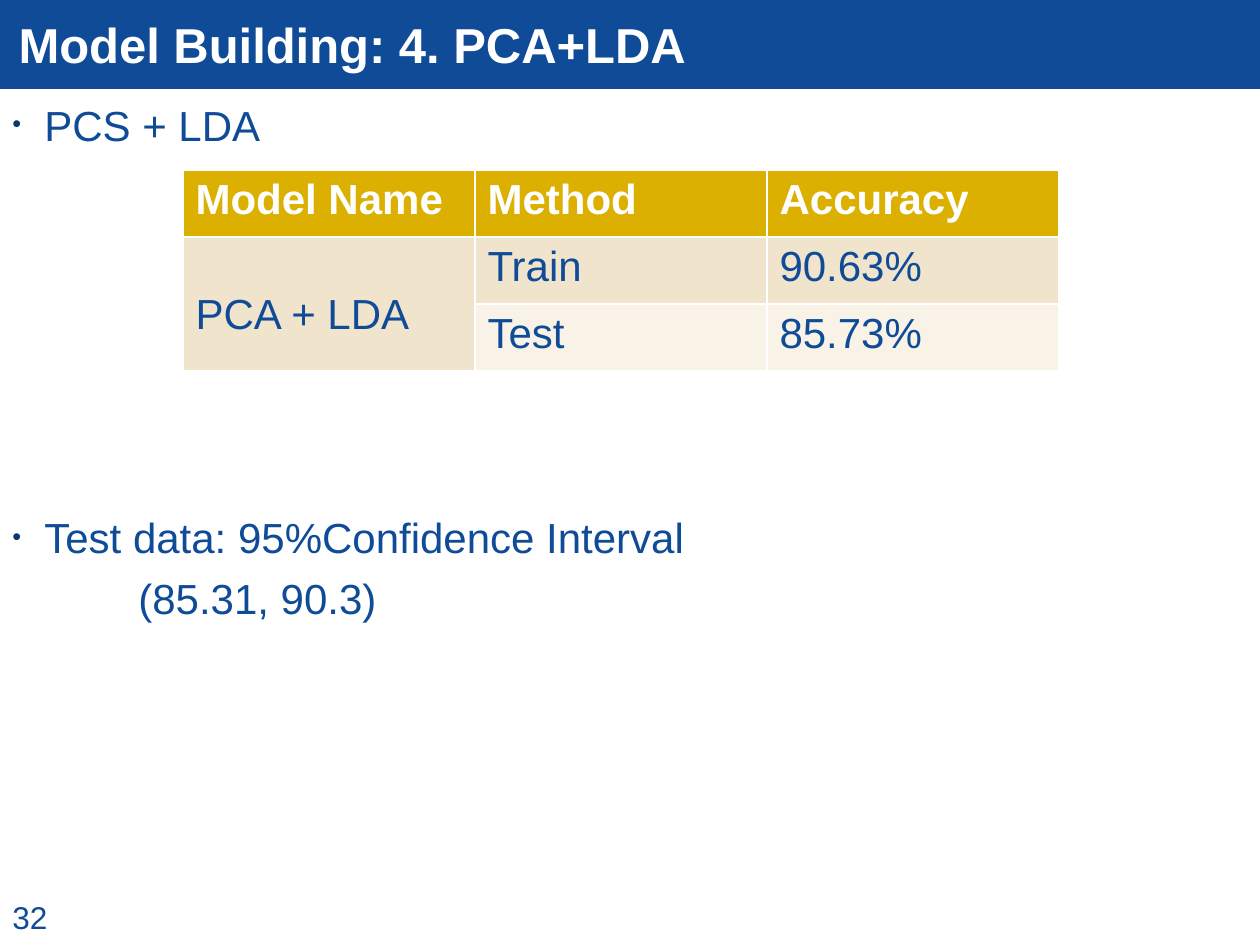
"""Build the PCA+LDA model accuracy slide."""
from dataclasses import dataclass

import pptx
import pptx.dml.color
import pptx.enum.shapes
import pptx.enum.text
import pptx.oxml
import pptx.oxml.ns
import pptx.util

TITLE = "Model Building: 4. PCA+LDA"
PAGE_NUMBER = "32"
BODY = [
    {"text": "PCS + LDA", "bullet": True, "before": 0},
    {"text": "Test data: 95%Confidence Interval", "bullet": True, "before": 207},
    {"text": "(85.31, 90.3)", "bullet": False, "before": 6},
]
TABLE = [
    ("Model Name", "Method", "Accuracy"),
    ("PCA + LDA", "Train", "90.63%"),
    ("", "Test", "85.73%"),
]

SLIDE_WIDTH, SLIDE_HEIGHT = 1260, 945
BAR_HEIGHT = 88
TABLE_LEFT, TABLE_TOP = 183, 170
COLUMN_WIDTH, ROW_HEIGHT = 292, 67
MERGED_TOP_MARGIN = 55
BULLET_INDENT, DETAIL_INDENT = 32, 126


@dataclass(frozen=True)
class Theme:
    font: str = "Arial"
    blue: str = "0F4B97"
    bullet: str = "0B3871"
    white: str = "FFFFFF"
    row_fills: tuple = ("DBB000", "F1E4CC", "F8F2E7")
    title_size: int = 28
    body_size: int = 24
    number_size: int = 18


THEME = Theme()


def px(length):
    return pptx.util.Emu(round(length * 914400 / 126))


def rgb(value):
    return pptx.dml.color.RGBColor.from_string(value)


def format_runs(paragraph, size, color, bold=False):
    for run in paragraph.runs:
        run.font.name = THEME.font
        run.font.size = pptx.util.Pt(size)
        run.font.bold = bold
        run.font.color.rgb = rgb(color)


def set_indent(paragraph, left, first_line=0):
    properties = paragraph._p.get_or_add_pPr()
    properties.set("marL", str(px(left)))
    properties.set("indent", str(px(first_line)))
    return properties


def add_bullet(paragraph):
    properties = set_indent(paragraph, BULLET_INDENT, -BULLET_INDENT)
    namespace = pptx.oxml.ns.nsdecls("a")
    for markup in (
        f'<a:buClr {namespace}><a:srgbClr val="{THEME.bullet}"/></a:buClr>',
        f'<a:buSzPct {namespace} val="60000"/>',
        f'<a:buFont {namespace} typeface="{THEME.font}"/>',
        f'<a:buChar {namespace} char="•"/>',
    ):
        properties.append(pptx.oxml.parse_xml(markup))


def add_title(slide):
    bar = slide.shapes.add_shape(
        pptx.enum.shapes.MSO_SHAPE.RECTANGLE, 0, 0, px(SLIDE_WIDTH), px(BAR_HEIGHT))
    bar.shadow.inherit = False
    bar.fill.solid()
    bar.fill.fore_color.rgb = rgb(THEME.blue)
    bar.line.color.rgb = rgb(THEME.blue)
    bar.line.width = pptx.util.Pt(0.75)
    title = slide.shapes.title
    title._element.addprevious(bar._element)
    title.left, title.top, title.width, title.height = px(6), 0, px(1222), px(BAR_HEIGHT)
    frame = title.text_frame
    frame.text = TITLE
    frame.auto_size = pptx.enum.text.MSO_AUTO_SIZE.NONE
    frame.vertical_anchor = pptx.enum.text.MSO_ANCHOR.MIDDLE
    paragraph = frame.paragraphs[0]
    paragraph.alignment = pptx.enum.text.PP_ALIGN.LEFT
    format_runs(paragraph, THEME.title_size, THEME.white, True)


def add_text(slide, left, top, width, height, text):
    frame = slide.shapes.add_textbox(px(left), px(top), px(width), px(height)).text_frame
    frame.word_wrap = True
    frame.text = text
    return frame


def add_body(slide):
    text = "\n".join(item["text"] for item in BODY)
    frame = add_text(slide, 0, BAR_HEIGHT, SLIDE_WIDTH, 775, text)
    frame.margin_top = px(11)
    for paragraph, item in zip(frame.paragraphs, BODY):
        paragraph.space_before = pptx.util.Pt(item["before"])
        if item["bullet"]:
            add_bullet(paragraph)
        else:
            set_indent(paragraph, DETAIL_INDENT)
        format_runs(paragraph, THEME.body_size, THEME.blue)


def add_results(slide):
    row_count, column_count = len(TABLE), len(TABLE[0])
    table = slide.shapes.add_table(
        row_count, column_count, px(TABLE_LEFT), px(TABLE_TOP),
        px(COLUMN_WIDTH * column_count), px(ROW_HEIGHT * row_count)).table
    for row_index, values in enumerate(TABLE):
        header = row_index == 0
        for column_index, value in enumerate(values):
            cell = table.cell(row_index, column_index)
            cell.text = value
            cell.fill.solid()
            cell.fill.fore_color.rgb = rgb(THEME.row_fills[row_index])
            color = THEME.white if header else THEME.blue
            format_runs(cell.text_frame.paragraphs[0], THEME.body_size, color, header)
    model = table.cell(1, 0)
    model.merge(table.cell(2, 0))
    model.margin_top = px(MERGED_TOP_MARGIN)


def main():
    presentation = pptx.Presentation()
    presentation.slide_width, presentation.slide_height = px(SLIDE_WIDTH), px(SLIDE_HEIGHT)
    slide = presentation.slides.add_slide(presentation.slide_layouts[5])
    add_title(slide)
    number = add_text(slide, 0, 892, 69, 63, PAGE_NUMBER)
    format_runs(number.paragraphs[0], THEME.number_size, THEME.blue)
    add_body(slide)
    add_results(slide)
    presentation.save("out.pptx")


if __name__ == "__main__":
    main()
